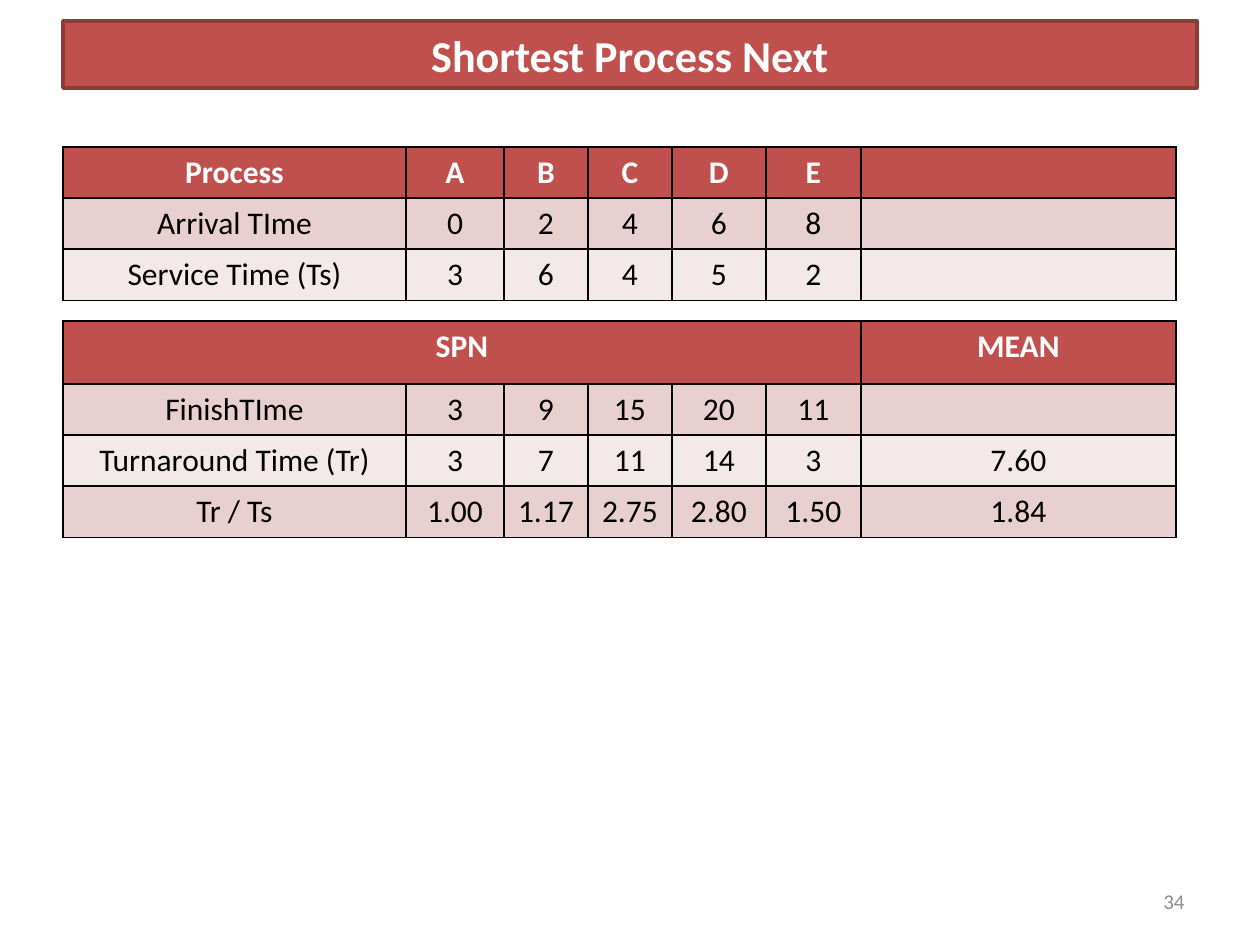
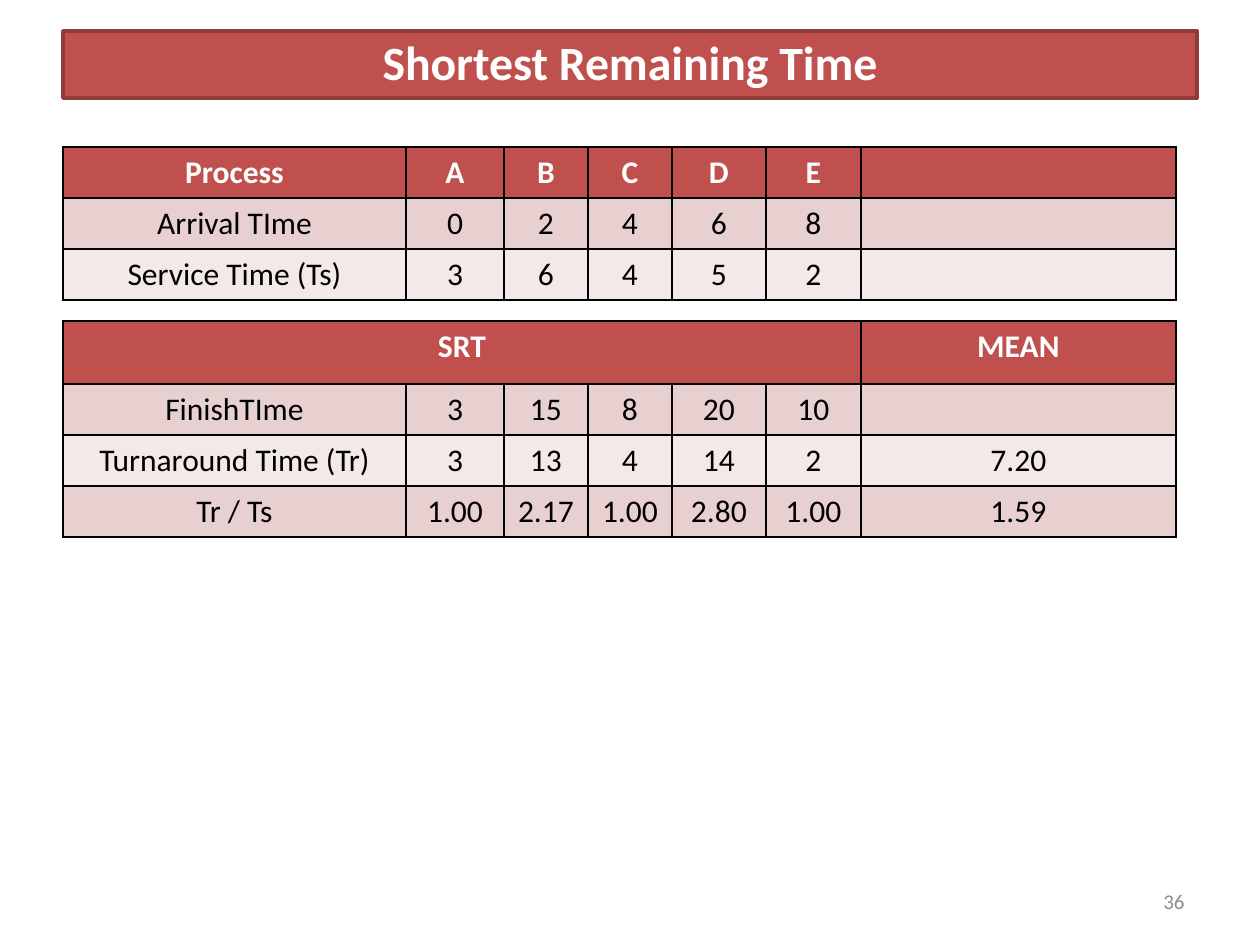
from dataclasses import dataclass

from lxml import etree
from pptx import Presentation
from pptx import util as u
from pptx.dml.color import RGBColor
from pptx.enum import shapes, text
from pptx.oxml import ns

EMU_PER_PX = 914400 / 126


@dataclass(frozen=True)
class Theme:
    font: str = "Calibri"
    accent: str = "C0504D"
    accent_dark: str = "8E3B39"
    band_dark: str = "E8D0D0"
    band_light: str = "F4E9E9"
    white: str = "FFFFFF"
    black: str = "000000"
    grey: str = "8C8C8C"
    table_size: float = 18
    number_size: float = 12
    title_line: float = 2
    border: float = 1


THEME = Theme()
ALIGN = text.PP_ALIGN

COLUMNS = (343, 98, 84, 84, 94, 95, 315)
HEADER_ROW, SUMMARY_ROW = 51, 63
NUMBER_BOX = (903, 876, 294, 50)
PROCESSES = ("A", "B", "C", "D", "E")
ARRIVALS = (0, 2, 4, 6, 8)
SERVICES = (3, 6, 4, 5, 2)

SCHEDULES = (
    dict(title="Shortest Process Next", label="SPN", finishes=(3, 9, 15, 20, 11),
         number=34, title_top=21, title_size=25.2, line_spacing=1.0),
    dict(title="Shortest Remaining Time", label="SRT", finishes=(3, 15, 8, 20, 10),
         number=36, title_top=31, title_size=27.3, line_spacing=0.9),
)


def px(*lengths):
    return [u.Emu(round(length * EMU_PER_PX)) for length in lengths]


def paint(fill, color):
    fill.solid()
    fill.fore_color.rgb = RGBColor.from_string(color)


def write(frame, content, alignment, color, **font_format):
    paragraph = frame.paragraphs[0]
    paragraph.alignment = alignment
    if content == "":
        return paragraph
    run = paragraph.add_run()
    run.text = str(content)
    run.font.color.rgb = RGBColor.from_string(color)
    for name, value in {"name": THEME.font, **font_format}.items():
        setattr(run.font, name, value)
    return paragraph


def add_title(slide, box, title, size, line_spacing):
    shape = slide.shapes.add_shape(shapes.MSO_SHAPE.RECTANGLE, *px(*box))
    shape.shadow.inherit = False
    paint(shape.fill, THEME.accent)
    paint(shape.line.fill, THEME.accent_dark)
    shape.line.width = u.Pt(THEME.title_line)
    frame = shape.text_frame
    frame.word_wrap = True
    frame.vertical_anchor = text.MSO_ANCHOR.MIDDLE
    paragraph = write(frame, title, ALIGN.CENTER, THEME.white,
                      size=u.Pt(size), bold=True)
    paragraph.line_spacing = line_spacing


def add_borders(cell):
    properties = cell._tc.get_or_add_tcPr()
    for side in ("a:lnL", "a:lnR", "a:lnT", "a:lnB"):
        line = etree.SubElement(properties, ns.qn(side), w=str(u.Pt(THEME.border)))
        solid = etree.SubElement(line, ns.qn("a:solidFill"))
        etree.SubElement(solid, ns.qn("a:srgbClr"), val=THEME.black)


def add_banded_table(slide, left, top, row_heights, rows, header_span=1):
    """Draw a header row, with its first cell over header_span columns, and banded rows."""
    box = px(left, top, sum(COLUMNS), sum(row_heights))
    table = slide.shapes.add_table(len(rows), len(COLUMNS), *box).table
    for column, width in zip(table.columns, px(*COLUMNS)):
        column.width = width
    for row, height in zip(table.rows, px(*row_heights)):
        row.height = height
    for row_index, values in enumerate(rows):
        is_header = row_index == 0
        band = THEME.band_dark if row_index % 2 else THEME.band_light
        for column_index, value in enumerate(values):
            cell = table.cell(row_index, column_index)
            add_borders(cell)
            paint(cell.fill, THEME.accent if is_header else band)
            write(cell.text_frame, value, ALIGN.CENTER,
                  THEME.white if is_header else THEME.black,
                  size=u.Pt(THEME.table_size), bold=is_header)
    if header_span > 1:
        table.cell(0, 0).merge(table.cell(0, header_span - 1))


def process_rows():
    return [("Process", *PROCESSES, ""),
            ("Arrival TIme", *ARRIVALS, ""),
            ("Service Time (Ts)", *SERVICES, "")]


def result_rows(label, finishes):
    """Derive turnaround times, their ratios to service time and the means."""
    turnarounds = [finish - arrival for finish, arrival in zip(finishes, ARRIVALS)]
    ratios = [turnaround / service for turnaround, service in zip(turnarounds, SERVICES)]
    count = len(PROCESSES)
    return [(label, *[""] * count, "MEAN"),
            ("FinishTIme", *finishes, ""),
            ("Turnaround Time (Tr)", *turnarounds, f"{sum(turnarounds) / count:.2f}"),
            ("Tr / Ts", *[f"{ratio:.2f}" for ratio in ratios],
             f"{sum(ratios) / count:.2f}")]


def add_slide_number(slide, box, number):
    frame = slide.shapes.add_textbox(*px(*box)).text_frame
    frame.word_wrap = True
    frame.vertical_anchor = text.MSO_ANCHOR.MIDDLE
    write(frame, number, ALIGN.RIGHT, THEME.grey, size=u.Pt(THEME.number_size))


def add_schedule_slide(presentation, title, label, finishes, number,
                       title_top, title_size, line_spacing):
    slide = presentation.slides.add_slide(presentation.slide_layouts[6])
    left = 63
    add_banded_table(slide, left, 147, [HEADER_ROW] * 3, process_rows())
    add_banded_table(slide, left, 321, [SUMMARY_ROW] + [HEADER_ROW] * 3,
                     result_rows(label, finishes), header_span=len(COLUMNS) - 1)
    add_title(slide, (left, title_top, 1134, 67), title, title_size, line_spacing)
    add_slide_number(slide, NUMBER_BOX, number)


def main():
    presentation = Presentation()
    presentation.slide_width, presentation.slide_height = px(1260, 945)
    for schedule in SCHEDULES:
        add_schedule_slide(presentation, **schedule)
    presentation.save("out.pptx")


if __name__ == "__main__":
    main()
